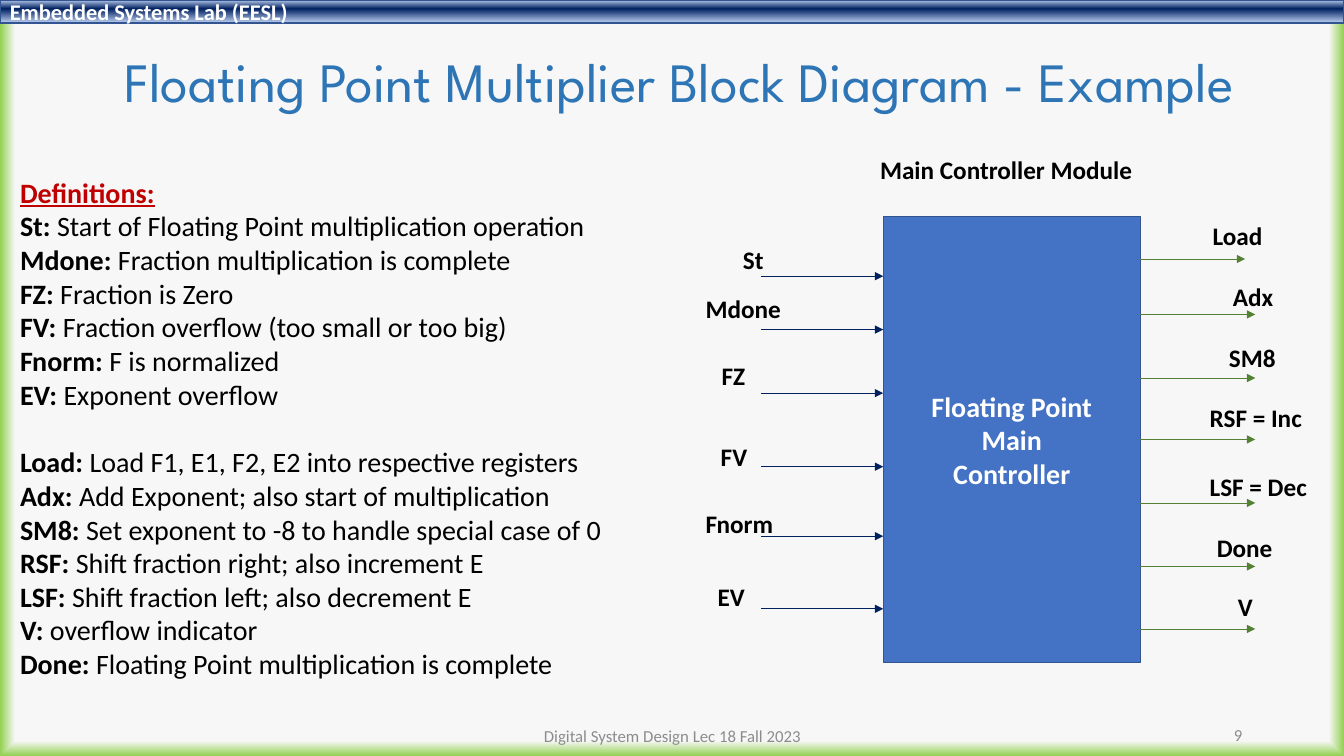
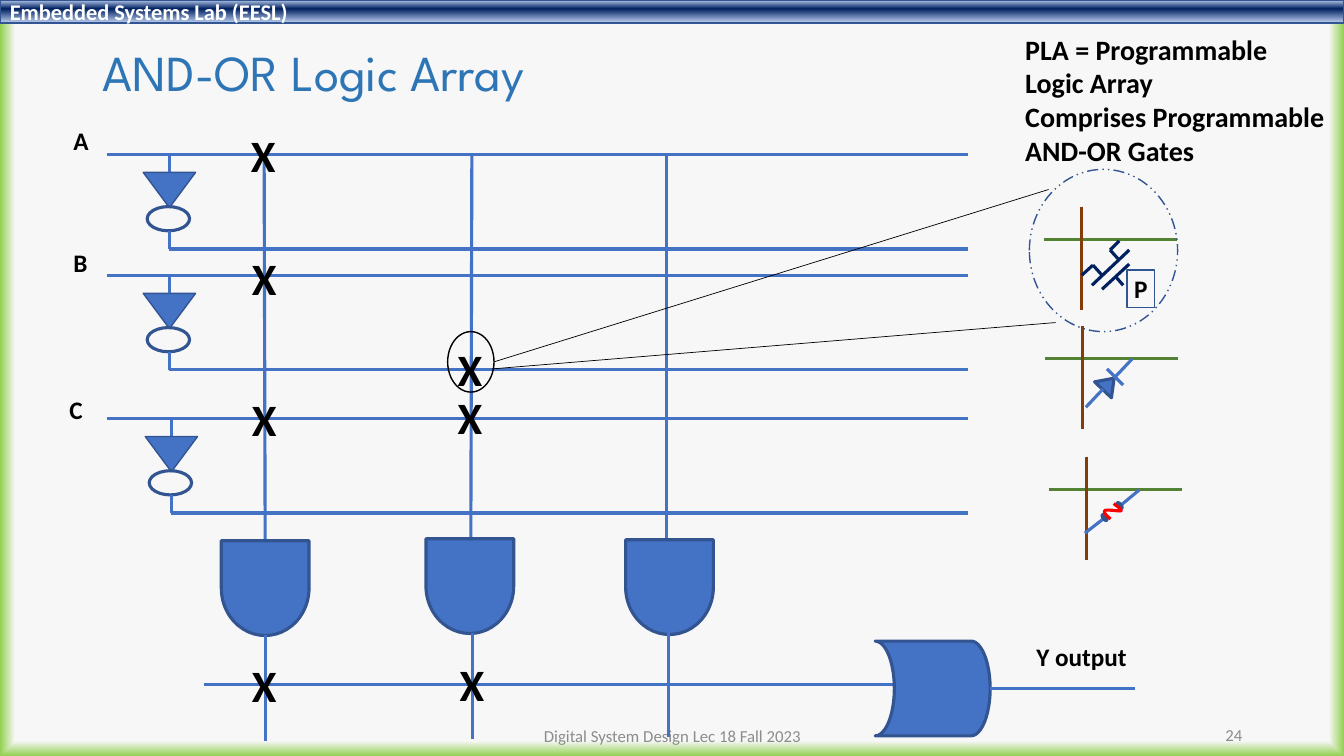
from pptx import Presentation
from pptx.dml.color import RGBColor
from pptx.enum.dml import MSO_LINE
from pptx.enum.shapes import MSO_CONNECTOR, MSO_SHAPE
from pptx.enum.text import MSO_ANCHOR, MSO_AUTO_SIZE, PP_ALIGN
from pptx.oxml import parse_xml
from pptx.oxml.ns import nsdecls, qn
from pptx.util import Inches, Pt

BLUE = RGBColor(0x44, 0x72, 0xC4)
OUTLINE = RGBColor(0x32, 0x54, 0x91)
NAVY = RGBColor(0x00, 0x20, 0x60)
GREEN = RGBColor(0x54, 0x82, 0x35)
BROWN = RGBColor(0x84, 0x3C, 0x0B)
RED = RGBColor(0xFF, 0x00, 0x00)
DARK_RED = RGBColor(0xC0, 0x00, 0x00)
TITLE_BLUE = RGBColor(0x2E, 0x75, 0xB6)
GREY = RGBColor(0x8C, 0x8C, 0x8C)
BLACK = RGBColor(0x00, 0x00, 0x00)
WHITE = RGBColor(0xFF, 0xFF, 0xFF)
BAND_STOPS = [(2, RGBColor(0xAB, 0xC0, 0xE4)), (38, NAVY), (93, RGBColor(0xAA, 0xBE, 0xE2))]
PAGE_STOPS = [(96, RGBColor(0xF7, 0xF7, 0xF7)), (100, RGBColor(0x92, 0xD0, 0x50))]
DOWNWARD = '<a:lin ang="5400000" scaled="0"/>'
FROM_CENTRE = '<a:path path="shape"><a:fillToRect l="50000" t="50000" r="50000" b="50000"/></a:path>'

BAND_TEXT = "Embedded Systems Lab (EESL)"
FOOTER = "Digital System Design Lec 18 Fall 2023"

# Slide 1 content
INPUT_TERMS = [
    ("St:", " Start of Floating Point multiplication operation"),
    ("Mdone:", " Fraction multiplication is complete"),
    ("FZ: ", "Fraction is Zero"),
    ("FV: ", "Fraction overflow (too small or too big)"),
    ("Fnorm: ", "F is normalized"),
    ("EV: ", "Exponent overflow"),
]
OUTPUT_TERMS = [
    ("Load: ", "Load F1, E1, F2, E2 into respective registers"),
    ("Adx: ", "Add Exponent; also start of multiplication"),
    ("SM8: ", "Set exponent to -8 to handle special case of 0"),
    ("RSF: ", "Shift fraction right; also increment E"),
    ("LSF: ", "Shift fraction left; also decrement E"),
    ("V: ", "overflow indicator"),
    ("Done: ", "Floating Point multiplication is complete"),
]
# name, label left, label top, label width, arrow height
INPUTS = [
    ("St", 7.27, 2.37, 0.41, 2.74), ("Mdone", 6.9, 2.86, 0.95, 3.27),
    ("FZ", 7.06, 3.53, 0.43, 3.9), ("FV", 7.05, 4.33, 0.47, 4.63),
    ("Fnorm", 6.9, 4.99, 0.88, 5.32), ("EV", 7.02, 5.72, 0.47, 6.04),
]
# the same, then arrow end
OUTPUTS = [
    ("Load", 11.93, 2.14, 0.7, 2.57, 12.35), ("Adx", 12.13, 2.74, 0.61, 3.12, 12.45),
    ("SM8", 12.09, 3.35, 0.67, 3.75, 12.45), ("RSF = Inc", 11.9, 3.94, 1.13, 4.36, 12.45),
    ("LSF = Dec", 11.9, 4.63, 1.17, 4.99, 12.45), ("Done", 11.97, 5.23, 0.75, 5.62, 12.45),
    ("V", 12.18, 5.82, 0.35, 6.24, 12.45),
]

# Slide 2 content
PLA_NOTE = ["PLA = Programmable", "Logic Array", "Comprises Programmable", "AND-OR Gates"]
# name, label left, label top, line height, inverter centre
ARRAY_INPUTS = [("A", 0.63, 1.19, 1.53, 1.68), ("B", 0.63, 2.4, 2.73, 1.68),
                ("C", 0.59, 3.86, 4.15, 1.7)]
# column top x, column foot x, gate left, gate top, output x, output top
AND_COLUMNS = [(2.62, 2.63, 2.16, 5.4, 2.63, 6.3), (4.68, 4.67, 4.19, 5.38, 4.69, 6.28),
               (6.61, 6.61, 6.17, 5.39, 6.63, 6.26)]
CROSSES = [(2.39, 1.22), (2.4, 2.44), (2.4, 3.84), (4.44, 3.34), (4.44, 3.82),
           (2.4, 6.48), (4.46, 6.47)]
# left and height of the horizontal wire in each kind of crosspoint
TRANSISTOR, DIODE, FUSE = (10.35, 2.38), (10.36, 3.56), (10.4, 4.86)
TRANSISTOR_LINES = [
    (10.83, 2.83, 11.2, 2.48), (10.93, 2.87, 11.2, 2.62), (10.93, 2.73, 10.84, 2.63),
    (11.1, 2.58, 11.01, 2.48), (11.07, 2.75, 11.14, 2.83), (10.84, 2.63, 10.73, 2.73),
    (11.01, 2.48, 11.1, 2.39),
]
DIODE_LINES = [(10.77, 4.04, 10.94, 3.86), (10.98, 3.66, 11.14, 3.82), (11.06, 3.74, 11.23, 3.56)]
FUSE_LINES = [(10.76, 5.29, 10.94, 5.15), (11.12, 5.01, 11.3, 4.86)]
FUSE_CURVE = [
    [(10.97, 5.12), (10.96, 5.07), (10.95, 5.02), (10.98, 5.02)],
    [(10.98, 5.02), (11, 5.02), (11.09, 5.12), (11.1, 5.12)],
    [(11.1, 5.12), (11.12, 5.12), (11.1, 5.07), (11.09, 5.02)],
]
FUSE_ANGLE = 321.6
ZOOM_LINES = [(4.9, 3.59, 10.4, 1.88), (4.88, 3.66, 10.47, 3.2)]


def write(frame, paragraphs, size=18, color=BLACK, bold=True, font="Calibri",
          align=PP_ALIGN.LEFT, anchor=MSO_ANCHOR.TOP, wrap=False, spacing=None):
    """Fill a text frame; a (term, meaning) pair gets a bold term only."""
    frame.word_wrap = wrap
    frame.vertical_anchor = anchor
    for number, content in enumerate(paragraphs):
        paragraph = frame.add_paragraph() if number else frame.paragraphs[0]
        paragraph.alignment = align
        if spacing:
            paragraph.line_spacing = spacing
        parts = [(content, bold)] if isinstance(content, str) else zip(content, (True, False))
        for words, heavy in parts:
            run = paragraph.add_run()
            run.text = words
            run.font.size, run.font.name, run.font.bold = Pt(size), font, heavy
            run.font.color.rgb = color
    return frame


def add_label(slide, paragraphs, left, top, width, height=0.4, **style):
    label = slide.shapes.add_textbox(Inches(left), Inches(top), Inches(width), Inches(height))
    frame = write(label.text_frame, paragraphs, **style)
    if not frame.word_wrap:
        frame.auto_size = MSO_AUTO_SIZE.SHAPE_TO_FIT_TEXT
    return frame


def outline(shape, fill, line, weight, rotation=0):
    shape.shadow.inherit = False
    if fill is None:
        shape.fill.background()
    else:
        shape.fill.solid()
        shape.fill.fore_color.rgb = fill
    shape.line.color.rgb = line
    shape.line.width = Pt(weight)
    shape.rotation = rotation
    return shape


def add_form(slide, kind, left, top, width, height, fill=None, line=OUTLINE, weight=1.0, rotation=0):
    form = slide.shapes.add_shape(kind, Inches(left), Inches(top), Inches(width), Inches(height))
    return outline(form, fill, line, weight, rotation)


def add_wire(slide, x1, y1, x2, y2, color=BLUE, weight=2.25, arrow=False):
    wire = slide.shapes.add_connector(MSO_CONNECTOR.STRAIGHT, Inches(x1), Inches(y1),
                                      Inches(x2), Inches(y2))
    wire.line.color.rgb = color
    wire.line.width = Pt(weight)
    if arrow:
        wire.line._get_or_add_ln().append(parse_xml(f'<a:tailEnd {nsdecls("a")} type="triangle"/>'))
    wire._element.spPr.append(parse_xml(f'<a:effectLst {nsdecls("a")}/>'))
    return wire


def paint_gradient(fill, owner, stops, direction):
    fill.gradient()
    plain = owner.find(".//" + qn("a:gradFill"))
    marks = "".join(f'<a:gs pos="{place * 1000}"><a:srgbClr val="{color}"/></a:gs>'
                    for place, color in stops)
    plain.getparent().replace(plain, parse_xml(
        f'<a:gradFill {nsdecls("a")} rotWithShape="1"><a:gsLst>{marks}</a:gsLst>{direction}</a:gradFill>'))


def dress_layout(deck, layout):
    """Give the master its background and the layout its top band."""
    master = deck.slide_master
    paint_gradient(master.background.fill, master._element, PAGE_STOPS, FROM_CENTRE)
    workbench = deck.slides[0]
    band = add_form(workbench, MSO_SHAPE.RECTANGLE, 0, 0, 13.33, 0.23, BLUE)
    paint_gradient(band.fill, band._element, BAND_STOPS, DOWNWARD)
    write(band.text_frame, [BAND_TEXT], size=16, color=WHITE, anchor=MSO_ANCHOR.MIDDLE, wrap=True)
    layout.shapes._spTree.append(band._element)


def start_slide(deck, layout, title, number, left, top, width, height, size):
    slide = deck.slides.add_slide(layout)
    heading = slide.shapes.title
    heading.left, heading.top = Inches(left), Inches(top)
    heading.width, heading.height = Inches(width), Inches(height)
    write(heading.text_frame, [title], size=size, color=TITLE_BLUE, bold=False,
          font="League Spartan", anchor=MSO_ANCHOR.MIDDLE, wrap=True, spacing=0.9)
    heading.text_frame.auto_size = MSO_AUTO_SIZE.NONE
    small = dict(size=12, color=GREY, bold=False, anchor=MSO_ANCHOR.MIDDLE, wrap=True)
    add_label(slide, [number], 9.42, 7.09, 3, align=PP_ALIGN.RIGHT, **small)
    add_label(slide, [FOOTER], 4.42, 7.1, 4.5, align=PP_ALIGN.CENTER, **small)
    return slide


def draw_controller(slide):
    # Definitions, with a one-line gap before the outputs
    terms = add_label(slide, ["Definitions:"] + INPUT_TERMS + OUTPUT_TERMS,
                      0.1, 1.69, 6.01, 5.15, size=20)
    heading = terms.paragraphs[0].runs[0].font
    heading.color.rgb, heading.underline = DARK_RED, True
    terms.paragraphs[1 + len(INPUT_TERMS)].space_before = Pt(24.4)

    # Controller block
    left, top, width, height = 8.76, 2.15, 2.55, 4.42
    add_label(slide, ["Main Controller Module"], 8.63, 1.48, 2.72)
    controller = add_form(slide, MSO_SHAPE.RECTANGLE, left, top, width, height, BLUE)
    write(controller.text_frame, ["Floating Point", "Main", "Controller"], size=20, color=WHITE,
          align=PP_ALIGN.CENTER, anchor=MSO_ANCHOR.MIDDLE, wrap=True)

    # Signals
    for name, label_left, label_top, label_width, y in INPUTS:
        add_wire(slide, 7.55, y, left, y, NAVY, 0.5, arrow=True)
        add_label(slide, [name], label_left, label_top, label_width)
    for name, label_left, label_top, label_width, y, end in OUTPUTS:
        signal = add_wire(slide, left + width, y, end, y, GREEN, 0.5, arrow=True)
        if abs(y - top - height / 2) < 0.01:
            signal.begin_connect(controller, 3)
        add_label(slide, [name], label_left, label_top, label_width)


def draw_array(slide):
    # Input lines, each with an inverter feeding the complement line
    for name, label_left, label_top, y, x in ARRAY_INPUTS:
        add_label(slide, [name], label_left, label_top, 0.35)
        add_wire(slide, 1.06, y, 9.6, y)
        add_wire(slide, x, y + 0.94, 9.6, y + 0.94)
        add_form(slide, MSO_SHAPE.ISOSCELES_TRIANGLE, x - 0.26, y + 0.18, 0.52, 0.35, BLUE, rotation=180)
        add_form(slide, MSO_SHAPE.OVAL, x - 0.22, y + 0.52, 0.42, 0.24, weight=2.25)
        add_wire(slide, x, y, x, y + 0.18)
        add_wire(slide, x, y + 0.76, x, y + 0.94)

    # AND columns and the OR gate
    for x_top, x_foot, gate_left, gate_top, x_out, y_out in AND_COLUMNS:
        add_wire(slide, x_top, 1.53, x_foot, 5.37)
        add_form(slide, MSO_SHAPE.FLOWCHART_DELAY, gate_left, gate_top, 0.94, 0.87, BLUE,
                 weight=2.25, rotation=90)
        add_wire(slide, x_out, y_out, x_out, y_out + 1.05)
    add_wire(slide, 2.02, 6.79, 9.02, 6.79)
    add_form(slide, MSO_SHAPE.FLOWCHART_STORED_DATA, 8.68, 6.36, 1.14, 0.94, BLUE,
             weight=2.25, rotation=180)
    add_wire(slide, 9.82, 6.83, 11.26, 6.83)
    add_label(slide, ["Y output"], 10.18, 6.31, 1.11)
    for left, top in CROSSES:
        add_label(slide, ["X"], left, top, 0.45, 0.64, size=32)
    add_label(slide, PLA_NOTE, 10.07, 0.27, 3.2, 1.45, size=20)


def draw_crosspoints(slide):
    # Crossing wires
    for left, y in (TRANSISTOR, DIODE, FUSE):
        add_wire(slide, left, y, left + 1.32, y, GREEN)
        add_wire(slide, left + 0.38, y - 0.33, left + 0.38, y + 0.7, BROWN)

    # Transistor, diode and fuse
    for ends in TRANSISTOR_LINES:
        add_wire(slide, *ends, NAVY)
    gate = add_form(slide, MSO_SHAPE.RECTANGLE, 11.18, 2.68, 0.27, 0.37)
    write(gate.text_frame, ["P"], align=PP_ALIGN.CENTER, anchor=MSO_ANCHOR.MIDDLE)
    add_form(slide, MSO_SHAPE.ISOSCELES_TRIANGLE, 10.88, 3.73, 0.23, 0.16, BLUE,
             weight=2.25, rotation=43.5)
    for ends in DIODE_LINES + FUSE_LINES:
        add_wire(slide, *ends)
    for left, top in [(10.94, 5.1), (11.09, 4.98)]:
        add_form(slide, MSO_SHAPE.OVAL, left, top, 0.03, 0.07, weight=2.25, rotation=FUSE_ANGLE)
    points = [bezier(curve, step / 8) for curve in FUSE_CURVE for step in range(9)]
    filament = slide.shapes.build_freeform(*points[0])
    filament.add_line_segments(points[1:], close=False)
    outline(filament.convert_to_shape(), None, RED, 2.25, FUSE_ANGLE)

    # Zoom from the circled cross
    for ends in ZOOM_LINES:
        add_wire(slide, *ends, BLACK, 0.5)
    lens = add_form(slide, MSO_SHAPE.OVAL, 10.21, 1.68, 1.47, 1.61)
    lens.line.dash_style = MSO_LINE.DASH_DOT_DOT
    add_form(slide, MSO_SHAPE.OVAL, 4.44, 3.29, 0.46, 0.6, line=BLACK)


def bezier(curve, t):
    weights = ((1 - t) ** 3, 3 * t * (1 - t) ** 2, 3 * t ** 2 * (1 - t), t ** 3)
    return tuple(Inches(sum(w * point[axis] for w, point in zip(weights, curve))) for axis in (0, 1))


def main():
    deck = Presentation()
    deck.slide_width, deck.slide_height = Inches(13.33), Inches(7.5)
    layout = deck.slide_layouts[5]
    multiplier = start_slide(deck, layout, "Floating Point Multiplier Block Diagram - Example", "9",
                             1.13, 0.26, 11.64, 1.15, 39.6)
    dress_layout(deck, layout)
    draw_controller(multiplier)
    array = start_slide(deck, layout, "AND-OR Logic Array", "24", 0.92, 0.4, 11.5, 0.7, 36)
    draw_array(array)
    draw_crosspoints(array)
    deck.save("out.pptx")


if __name__ == "__main__":
    main()
